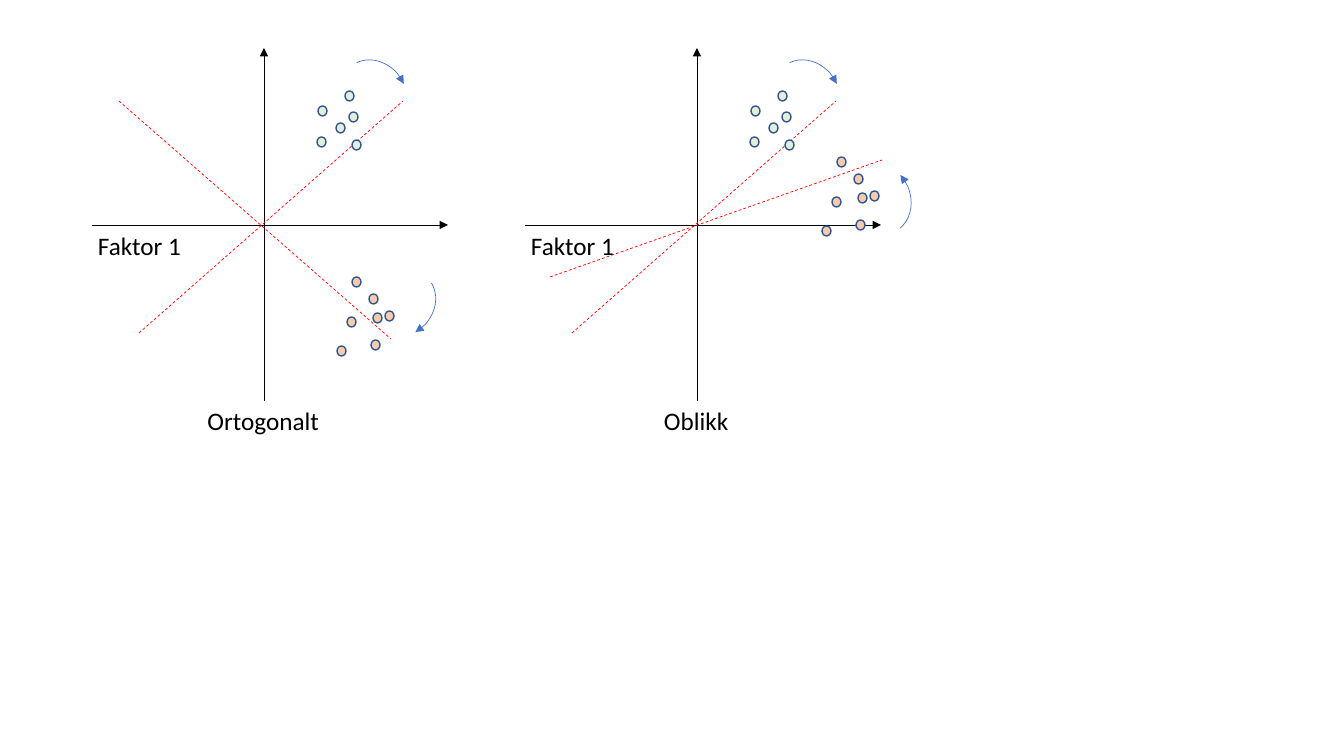
from dataclasses import dataclass
from lxml import etree
from pptx import Presentation
from pptx.dml.color import RGBColor
from pptx.enum.dml import MSO_LINE
from pptx.enum.shapes import MSO_CONNECTOR, MSO_SHAPE
from pptx.enum.text import MSO_AUTO_SIZE
from pptx.oxml.ns import qn
from pptx.util import Pt

STRAIGHT = MSO_CONNECTOR.STRAIGHT
ARC, OVAL = MSO_SHAPE.ARC, MSO_SHAPE.OVAL
DASH = MSO_LINE.DASH
FIT = MSO_AUTO_SIZE.SHAPE_TO_FIT_TEXT
PX = 914400 / 100.8


@dataclass(frozen=True)
class Theme:
    font: str = "Calibri"
    size: int = 18
    thin: float = 0.5
    dot_line: float = 1
    axis: str = "000000"
    factor: str = "FF0000"
    turn: str = "4472C4"
    outline: str = "325491"
    green: str = "E2F0D9"
    orange: str = "F8CBAD"


T = Theme()


def px(*values):
    return [round(v * PX) for v in values]


def style_line(shape, color, width=T.thin, dash=None, end=None):
    line = shape.line
    line.color.rgb = RGBColor.from_string(color)
    line.width = Pt(width)
    if dash:
        line.dash_style = dash
    if end:
        ln = shape._element.spPr.find(qn("a:ln"))
        etree.SubElement(ln, qn("a:" + end)).set("type", "triangle")


prs = Presentation()
prs.slide_width, prs.slide_height = px(1344, 756)
s = prs.slides.add_slide(prs.slide_layouts[6])

AXIS_X, AXIS_Y = 264, 225
AXES = [(AXIS_X, 401, AXIS_X, 48), (92, AXIS_Y, 448, AXIS_Y)]
SHARED_FACTOR = (139, 333, 403, 101)
SHARED_TURN = (339, 59, 68, 78, 335.3, "tailEnd")
GREEN_DOTS = [(318, 106), (336, 123), (352, 140), (349, 112), (345, 91), (317, 137)]
ORANGE_DOTS = [(352, 277), (369, 294), (385, 311), (373, 313), (371, 340),
               (347, 317), (337, 346)]
LABEL_H = 40

panels = [
    dict(left=0, name="Ortogonalt", name_w=133, factor=(119, 101, 391, 339),
         turn=(364, 264, 68, 78, 59.4, "tailEnd"), shift=(0, 0)),
    dict(left=433, name="Oblikk", name_w=86, factor=(117, 277, 449, 160),
         turn=(401, 163, 80, 70, 49, "headEnd"), shift=(52, -120)),
]

for panel in panels:
    left = panel["left"]

    lines = [(axis, T.axis, None, "tailEnd") for axis in AXES]
    lines += [(f, T.factor, DASH, None) for f in (SHARED_FACTOR, panel["factor"])]
    for (x1, y1, x2, y2), color, dash, end in lines:
        cx = s.shapes.add_connector(STRAIGHT, *px(left + x1, y1, left + x2, y2))
        style_line(cx, color, dash=dash, end=end)
        etree.SubElement(cx._element.spPr, qn("a:effectLst"))

    for x, y, w, h, angle, end in (SHARED_TURN, panel["turn"]):
        arc = s.shapes.add_shape(ARC, *px(left + x, y, w, h))
        arc.rotation = angle
        arc.fill.background()
        style_line(arc, T.turn, end=end)
        arc.shadow.inherit = False

    dx, dy = panel["shift"]
    moved_dots = [(x + dx, y + dy) for x, y in ORANGE_DOTS]
    for dots, color in ((GREEN_DOTS, T.green), (moved_dots, T.orange)):
        for x, y in dots:
            dot = s.shapes.add_shape(OVAL, *px(left + x, y, 9, 10))
            dot.fill.solid()
            dot.fill.fore_color.rgb = RGBColor.from_string(color)
            style_line(dot, T.outline, T.dot_line)
            dot.shadow.inherit = False

    name_w = panel["name_w"]
    labels = [("Faktor 1", 88, AXIS_Y, 104),
              (panel["name"], AXIS_X - name_w / 2, 400, name_w)]
    for text, x, y, w in labels:
        tf = s.shapes.add_textbox(*px(left + x, y, w, LABEL_H)).text_frame
        tf.word_wrap = False
        tf.auto_size = FIT
        r = tf.paragraphs[0].add_run()
        r.text = text
        r.font.name = T.font
        r.font.size = Pt(T.size)
        r.font.color.rgb = RGBColor.from_string(T.axis)

prs.save("out.pptx")
